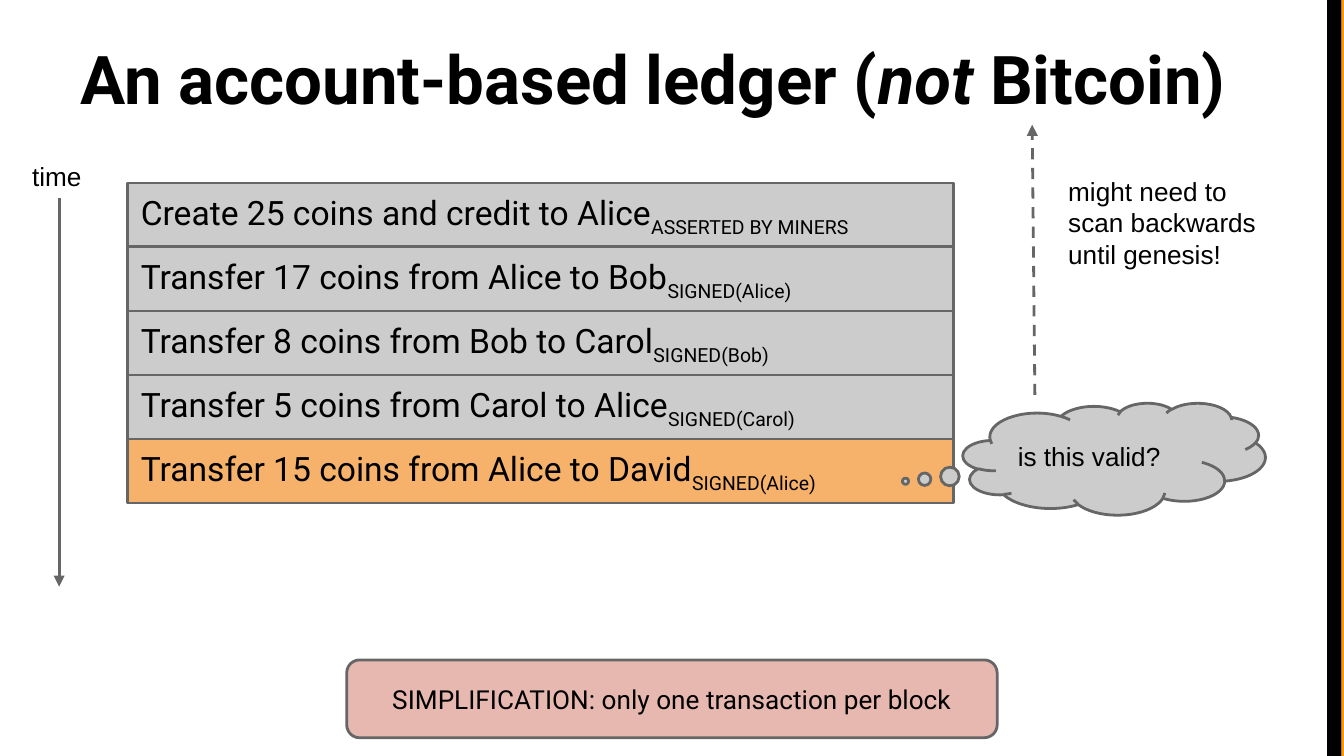
import dataclasses

import pptx
import pptx.dml.color
import pptx.enum.dml
import pptx.enum.shapes
import pptx.enum.text
import pptx.oxml.ns
import pptx.util
from lxml import etree

WIDE = pptx.util.Inches(10)
HIGH = pptx.util.Emu(WIDE * 9 // 16)
GREY, EDGE, BLACK = "CCCCCC", "666666", "000000"
KIND = pptx.enum.shapes.MSO_SHAPE
SIDE = pptx.enum.text.PP_ALIGN
MID = pptx.enum.text.MSO_ANCHOR.MIDDLE
TOP = pptx.enum.text.MSO_ANCHOR.TOP
LOW = pptx.enum.text.MSO_ANCHOR.BOTTOM


@dataclasses.dataclass
class Box:
    left: float
    top: float
    wide: float
    high: float

    def place(self) -> tuple:
        return across(self.left), down(self.top), across(self.wide), down(self.high)


@dataclasses.dataclass
class Entry:
    deal: str
    proof: str
    fill: str = GREY


def across(share: float) -> int:
    return round(WIDE * share / 100)


def down(share: float) -> int:
    return round(HIGH * share / 100)


def color(code: str) -> pptx.dml.color.RGBColor:
    return pptx.dml.color.RGBColor.from_string(code)


def write(shape, *parts, size=14, font="Arial", bold=False, side=SIDE.LEFT, anchor=MID) -> None:
    frame = shape.text_frame
    frame.word_wrap = True
    frame.auto_size = pptx.enum.text.MSO_AUTO_SIZE.NONE
    frame.vertical_anchor = anchor
    inset = pptx.util.Inches(0.1)
    frame.margin_left = frame.margin_right = inset
    frame.margin_top = frame.margin_bottom = inset
    line = frame.paragraphs[0]
    line.alignment = side
    for part in parts:
        text, style = part if isinstance(part, tuple) else (part, "")
        run = line.add_run()
        run.text = text
        run.font.size = pptx.util.Pt(size)
        run.font.name = font
        run.font.bold = bold
        run.font.italic = style == "italic"
        run.font.color.rgb = color(BLACK)
        if style == "sub":
            run.font._element.set("baseline", "-25000")


def draw(slide, kind, box: Box, fill: str, edge: str = EDGE):
    shape = slide.shapes.add_shape(kind, *box.place())
    shape.shadow.inherit = False
    shape.fill.solid()
    shape.fill.fore_color.rgb = color(fill)
    if edge:
        shape.line.color.rgb = color(edge)
        shape.line.width = pptx.util.Pt(1.5)
    else:
        shape.line.fill.background()
    return shape


def label(slide, box: Box, text: str) -> None:
    write(slide.shapes.add_textbox(*box.place()), text, anchor=TOP)


def arrow(slide, start: tuple, end: tuple, dash: bool = False) -> None:
    line = slide.shapes.add_connector(
        pptx.enum.shapes.MSO_CONNECTOR.STRAIGHT,
        across(start[0]), down(start[1]), across(end[0]), down(end[1]))
    line.line.color.rgb = color(EDGE)
    line.line.width = pptx.util.Pt(1.5)
    if dash:
        line.line.dash_style = pptx.enum.dml.MSO_LINE.DASH
    name = pptx.oxml.ns.qn
    etree.SubElement(line.line._get_or_add_ln(), name("a:tailEnd"), type="triangle")
    etree.SubElement(line._element.spPr, name("a:effectLst"))


LEDGER = Box(9.5, 24.2, 61.45, 8.47)
ENTRIES = [
    Entry("Create 25 coins and credit to Alice", "ASSERTED BY MINERS"),
    Entry("Transfer 17 coins from Alice to Bob", "SIGNED(Alice)"),
    Entry("Transfer 8 coins from Bob to Carol", "SIGNED(Bob)"),
    Entry("Transfer 5 coins from Carol to Alice", "SIGNED(Carol)"),
    Entry("Transfer 15 coins from Alice to David", "SIGNED(Alice)", "F6B26B"),
]


def main() -> None:
    deck = pptx.Presentation()
    deck.slide_width, deck.slide_height = WIDE, HIGH
    slide = deck.slides.add_slide(deck.slide_layouts[5])

    draw(slide, KIND.RECTANGLE, Box(99.8, 0, 0.2, 100), "FF9900", "")
    draw(slide, KIND.RECTANGLE, Box(98.75, 0, 1.05, 100), BLACK, "")

    title = slide.shapes.title
    title.left, title.top, title.width, title.height = Box(5, 0.75, 91.8, 16.7).place()
    write(title, "An account-based ledger (", ("not", "italic"), " Bitcoin)",
          size=36, font="Roboto", bold=True, anchor=LOW)

    for row, entry in enumerate(ENTRIES):
        box = dataclasses.replace(LEDGER, top=LEDGER.top + row * LEDGER.high)
        bar = draw(slide, KIND.RECTANGLE, box, entry.fill)
        write(bar, entry.deal, (entry.proof, "sub"), size=18, font="Roboto")

    note = draw(slide, KIND.ROUNDED_RECTANGLE, Box(25.8, 87.3, 48.4, 10.3), "E6B8AF")
    write(note, "SIMPLIFICATION: only one transaction per block",
          font="Roboto", side=SIDE.CENTER)

    arrow(slide, (4.4, 26.25), (4.4, 77.6))
    label(slide, Box(1.4, 19.5, 6.5, 6.8), "time")

    arrow(slide, (77, 52.25), (76.8, 16.5), dash=True)
    label(slide, Box(78.5, 21.4, 17, 19.8), "might need to scan backwards until genesis!")

    cloud = draw(slide, KIND.CLOUD_CALLOUT, Box(71.65, 53.3, 22.5, 14.8), GREY)
    cloud.adjustments[0] = -0.69
    cloud.adjustments[1] = 0.2
    write(cloud, "is this valid?")

    deck.save("out.pptx")


if __name__ == "__main__":
    main()
